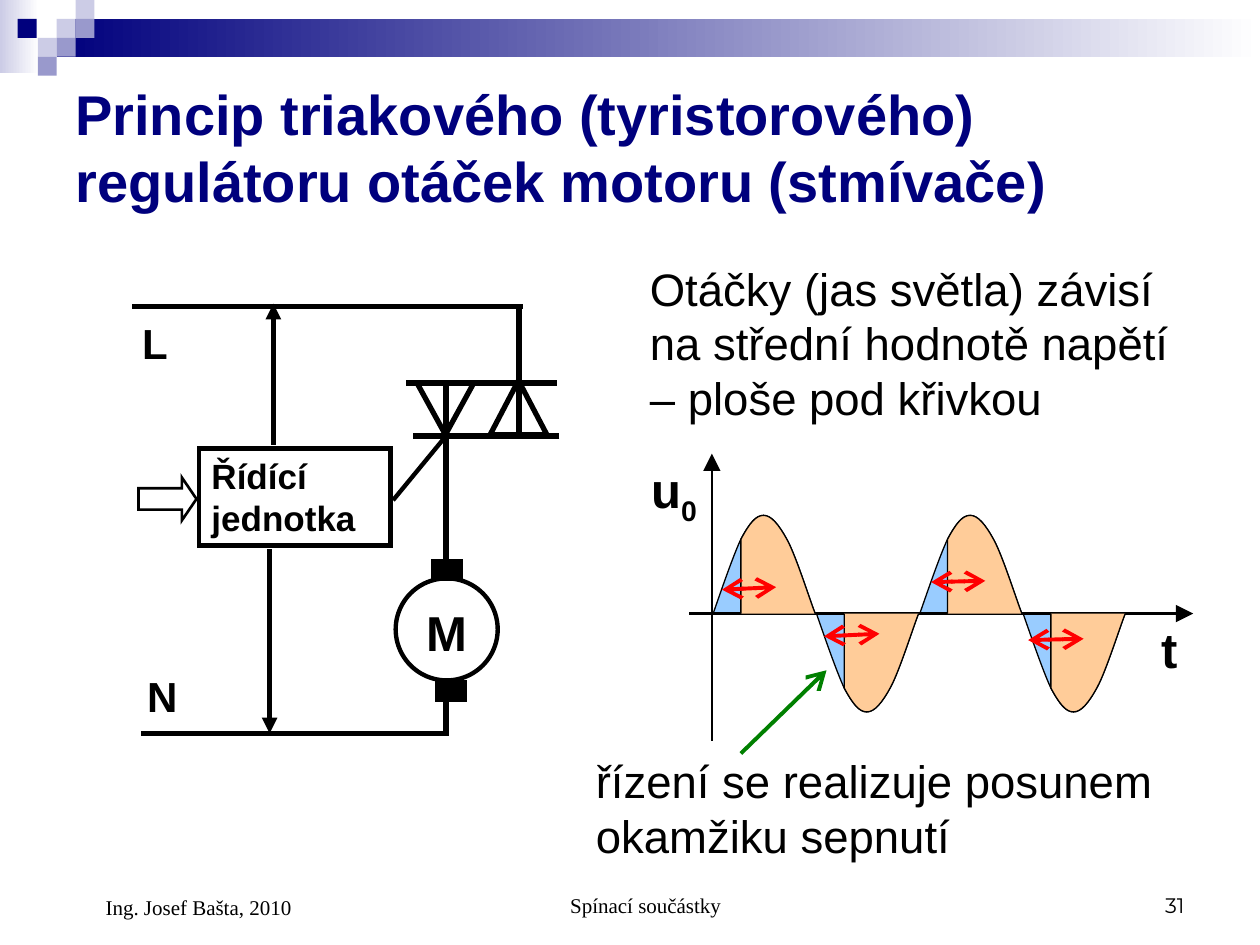
"""Build the slide on the triac motor speed controller."""
from lxml.etree import SubElement
from pptx import Presentation
from pptx.dml.color import RGBColor
from pptx.enum.shapes import MSO_CONNECTOR, MSO_SHAPE as SHAPE
from pptx.enum.text import MSO_ANCHOR as ANCHOR, PP_ALIGN as ALIGN
from pptx.oxml.ns import qn
from pptx.util import Inches, Pt

BLACK = RGBColor(0, 0, 0)
WHITE = RGBColor(0xFF, 0xFF, 0xFF)
NAVY = RGBColor(0, 0, 0x7D)
PALE = RGBColor(0xCC, 0xCC, 0xE6)
LILAC = RGBColor(0x99, 0x99, 0xCC)
BLUE = RGBColor(0x99, 0xCC, 0xFF)
PEACH = RGBColor(0xFF, 0xCC, 0x99)
RED = RGBColor(0xFF, 0, 0)
GREEN = RGBColor(0, 0x80, 0)

GRADIENTS = [((0, 0, 0.31, 0.58), PALE), ((0.45, 0.15, 9.55, 0.3), NAVY)]
SQUARES = [(0.45, 0.15, PALE), (0.6, 0, PALE), (0.6, 0.15, LILAC), (0.3, 0.3, PALE),
           (0.14, 0.15, NAVY), (0.45, 0.3, LILAC), (0.3, 0.45, LILAC)]
SQUARE = 0.15

AXIS_Y = 4.87
WAVE_LEFT, WAVE_STEP, WAVE_COUNT = 5.66, 0.82, 4
RISE = [(0, 0), (0.08, 0.23), (0.16, 0.46), (0.22, 0.59)]
SWITCH_ON = [(0.22, 0), (0.22, 0.59)]
AFTER = [(0.29, 0.72), (0.34, 0.78), (0.4, 0.78),
         (0.46, 0.78), (0.52, 0.71), (0.59, 0.58),
         (0.66, 0.45), (0.77, 0.1), (0.81, 0)]

AXES = [((5.47, 4.87), (9.47, 4.87)), ((5.65, 5.88), (5.65, 3.6))]
WIRES = [((4.12, 3.45), (4.12, 2.43)), ((4.42, 3.04), (3.22, 3.04)),
         ((3.54, 3.03), (3.54, 4.55)), ((4.44, 3.46), (3.28, 3.46)),
         ((1.12, 5.82), (3.53, 5.82)), ((3.54, 5.48), (3.54, 5.84)),
         ((1.05, 2.43), (4.15, 2.43))]
SUPPLY = [((2.17, 3.53), (2.17, 2.41)), ((2.14, 4.36), (2.14, 5.82))]
GATE = ((3.54, 3.46), (3.12, 3.97))
SHIFTS = [((5.73, 4.68), (6.16, 4.66)), ((6.54, 5.05), (6.98, 5.03)),
          ((8.16, 5.08), (8.6, 5.07)), ((7.39, 4.62), (7.82, 4.61))]
POINTER = ((5.88, 5.98), (6.56, 5.32))

TRIANGLES = [((3.89, 3.02, 0.45, 0.43), 0), ((3.31, 3.04, 0.45, 0.41), 180)]
MOTOR = (3.14, 4.59, 0.81, 0.81)
INPUT_ARROW = (1.1, 3.79, 0.46, 0.34)
BRUSHES = [(3.43, 4.44, 0.24, 0.17), (3.46, 5.4, 0.24, 0.17)]
CONTROL = ("Řídící jednotka", (1.58, 3.56, 1.52, 0.77), 20)

TITLE = ("Princip triakového (tyristorového) regulátoru otáček motoru (stmívače)",
         (0.5, 0.57, 9, 1.19), 32)
LABELS = [("t", (9.12, 4.87, 0.45, 0.57), 28), ("M", (3.29, 4.73, 0.54, 0.57), 28),
          ("L", (1.03, 2.47, 0.54, 0.5), 24), ("N", (1.07, 5.27, 0.54, 0.5), 24)]
VOLTAGE = ("u", (5.07, 3.6, 0.67, 0.63), 28)
NOTES = [("Otáčky (jas světla) závisí na střední hodnotě napětí – ploše pod křivkou",
          (5.06, 2.02, 4.44, 1.4), 26),
         ("řízení se realizuje posunem okamžiku sepnutí", (4.63, 5.93, 5.08, 0.97), 26)]
FOOTERS = [("Spínací součástky", (3.42, 6.83, 3.17, 0.5), "Times New Roman", ALIGN.CENTER, 0.24),
           ("31", (7.17, 6.83, 2.33, 0.5), "Montserrat", ALIGN.RIGHT, 0),
           ("Ing. Josef Bašta, 2010", (0.5, 6.83, 2.33, 0.52), "Times New Roman", ALIGN.LEFT, 0.24)]


def inches(values):
    return [Inches(v) for v in values]


def paint(sp, fill, line, width):
    sp.shadow.inherit = False
    if fill is None:
        sp.fill.background()
    else:
        sp.fill.solid()
        sp.fill.fore_color.rgb = fill
    if line is None:
        sp.line.fill.background()
    else:
        sp.line.color.rgb = line
        sp.line.width = Pt(width)
        SubElement(sp.line._get_or_add_ln(), qn("a:miter"), lim="800000")


def add_shape(s, kind, box, fill=None, line=None, width=0.75):
    sp = s.shapes.add_shape(kind, *inches(box))
    paint(sp, fill, line, width)
    return sp


def add_line(s, ends, color, width, head=None, tail=None, size="lg"):
    (x1, y1), (x2, y2) = ends
    cx = s.shapes.add_connector(MSO_CONNECTOR.STRAIGHT, *inches((x1, y1, x2, y2)))
    cx.line.color.rgb = color
    cx.line.width = Pt(width)
    ln = cx.line._get_or_add_ln()
    for tag, arrow in (("a:headEnd", head), ("a:tailEnd", tail)):
        if arrow:
            SubElement(ln, qn(tag), type=arrow, w=size, len=size)
    SubElement(cx._element.spPr, qn("a:effectLst"))


def style(r, size, bold, color=BLACK, font="Arial"):
    r.font.size = Pt(size)
    r.font.bold = bold
    r.font.name = font
    r.font.color.rgb = color


def write(sp, text, size, bold=False, color=BLACK, font="Arial", align=ALIGN.LEFT,
          anchor=ANCHOR.TOP):
    tf = sp.text_frame
    tf.word_wrap = True
    tf.vertical_anchor = anchor
    p = tf.paragraphs[0]
    p.text = text
    p.alignment = align
    style(p.runs[0], size, bold, color, font)
    return p


def add_text(s, text, box, size, **look):
    return write(s.shapes.add_textbox(*inches(box)), text, size, **look)


def bend(sp):
    """Turn each trailing group of three line segments into one cubic curve."""
    segments = list(sp._element.iter(qn("a:lnTo")))
    for i in range(len(segments) % 3, len(segments), 3):
        first, *rest = segments[i:i + 3]
        first.tag = qn("a:cubicBezTo")
        for segment in rest:
            first.append(segment[0])
            segment.getparent().remove(segment)


def add_half_wave(s, i, points, fill):
    up = 1 if i % 2 else -1
    left = WAVE_LEFT + i * WAVE_STEP
    start, *others = [(Inches(left + x), Inches(AXIS_Y + up * y)) for x, y in points]
    fb = s.shapes.build_freeform(*start)
    fb.add_line_segments(others, close=False)
    sp = fb.convert_to_shape()
    bend_curves(sp)
    paint(sp, fill, BLACK, 0.75)


def bend_curves(sp):
    segments = list(sp._element.iter(qn("a:lnTo")))
    for i in range(len(segments) % 3, len(segments), 3):
        curve = SubElement(segments[i].getparent(), qn("a:cubicBezTo"))
        for segment in segments[i:i + 3]:
            curve.append(segment[0])
            segment.getparent().remove(segment)


def add_decoration(s):
    for box, color in GRADIENTS:
        sp = add_shape(s, SHAPE.RECTANGLE, box)
        sp.fill.gradient()
        sp.fill.gradient_angle = 0
        for stop, rgb in zip(sp.fill.gradient_stops, (color, WHITE)):
            stop.color.rgb = rgb
    for x, y, color in SQUARES:
        add_shape(s, SHAPE.RECTANGLE, (x, y, SQUARE, SQUARE), color)


def add_graph(s):
    for i in range(WAVE_COUNT):
        add_half_wave(s, i, RISE + AFTER, BLUE)
    for ends in AXES:
        add_line(s, ends, BLACK, 1.5, tail="triangle")
    for i in range(WAVE_COUNT):
        add_half_wave(s, i, SWITCH_ON + AFTER, PEACH)
    for ends in SHIFTS:
        add_line(s, ends, RED, 2.25, "arrow", "arrow")
    add_line(s, POINTER, GREEN, 2.25, tail="arrow")


def add_circuit(s):
    add_line(s, GATE, BLACK, 2.5)
    for ends in WIRES:
        add_line(s, ends, BLACK, 3)
    for ends in SUPPLY:
        add_line(s, ends, BLACK, 3, tail="triangle", size="med")
    for box, turn in TRIANGLES:
        add_shape(s, SHAPE.ISOSCELES_TRIANGLE, box, None, BLACK, 3).rotation = turn
    add_shape(s, SHAPE.OVAL, MOTOR, None, BLACK, 2.5)
    add_shape(s, SHAPE.RIGHT_ARROW, INPUT_ARROW, None, BLACK, 1.5).adjustments[1] = 0.34
    for box in BRUSHES:
        add_shape(s, SHAPE.RECTANGLE, box, BLACK, BLACK)
    text, box, size = CONTROL
    write(add_shape(s, SHAPE.RECTANGLE, box, None, BLACK, 2.5), text, size, bold=True)


def add_texts(s):
    add_text(s, *TITLE, bold=True, color=NAVY, anchor=ANCHOR.MIDDLE)
    for label in LABELS:
        add_text(s, *label, bold=True)
    r = add_text(s, *VOLTAGE, bold=True).add_run()
    r.text = "0"
    style(r, VOLTAGE[2], True)
    r.font._element.set("baseline", "-25000")
    for note in NOTES:
        add_text(s, *note)
    for text, box, font, align, indent in FOOTERS:
        p = add_text(s, text, box, 12, font=font, align=align, anchor=ANCHOR.BOTTOM)
        p._p.get_or_add_pPr().set("marL", str(Inches(indent)))


prs = Presentation()
prs.slide_width, prs.slide_height = inches((10, 7.5))
s = prs.slides.add_slide(prs.slide_layouts[6])
for add_part in (add_decoration, add_graph, add_circuit, add_texts):
    add_part(s)
prs.save("out.pptx")
